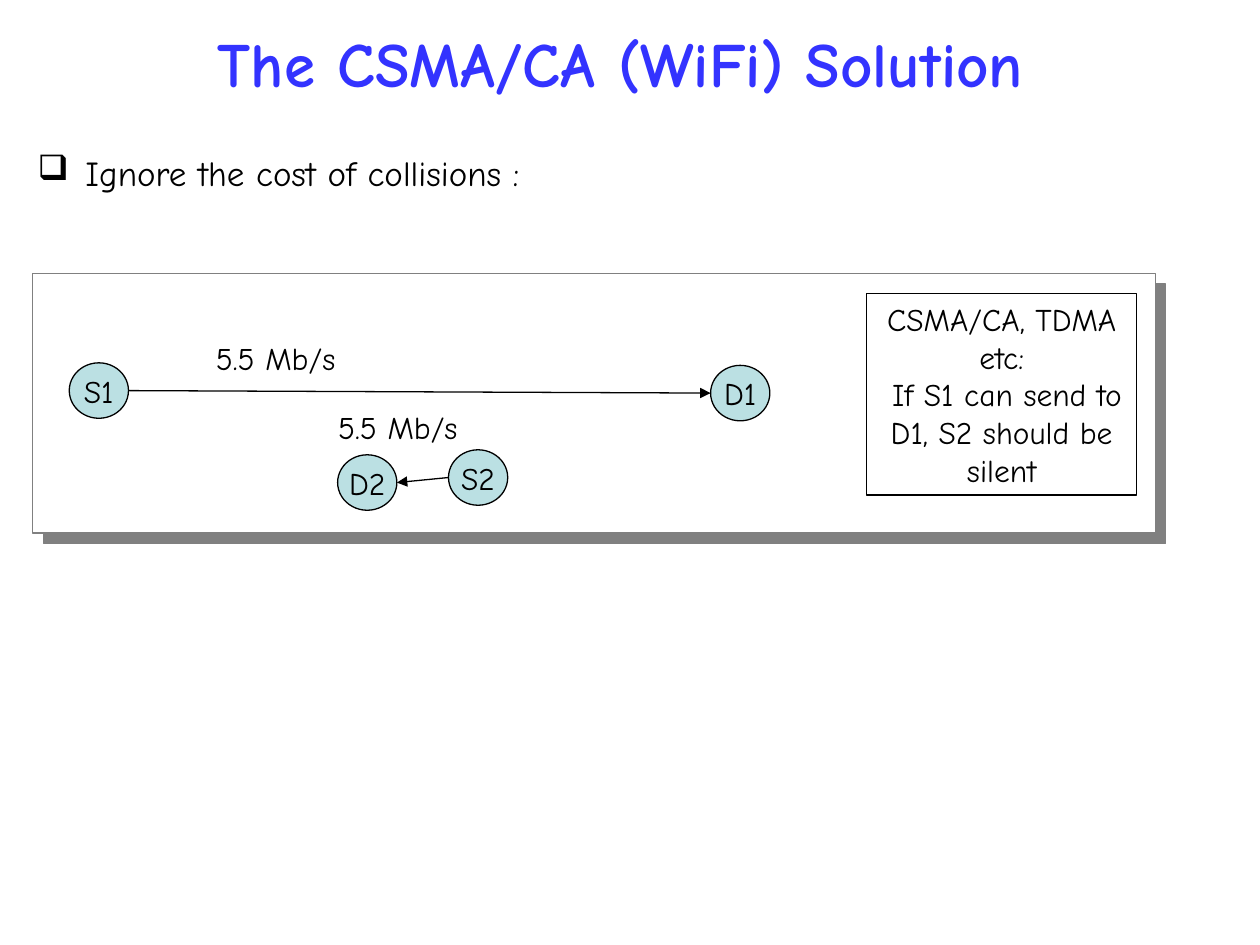
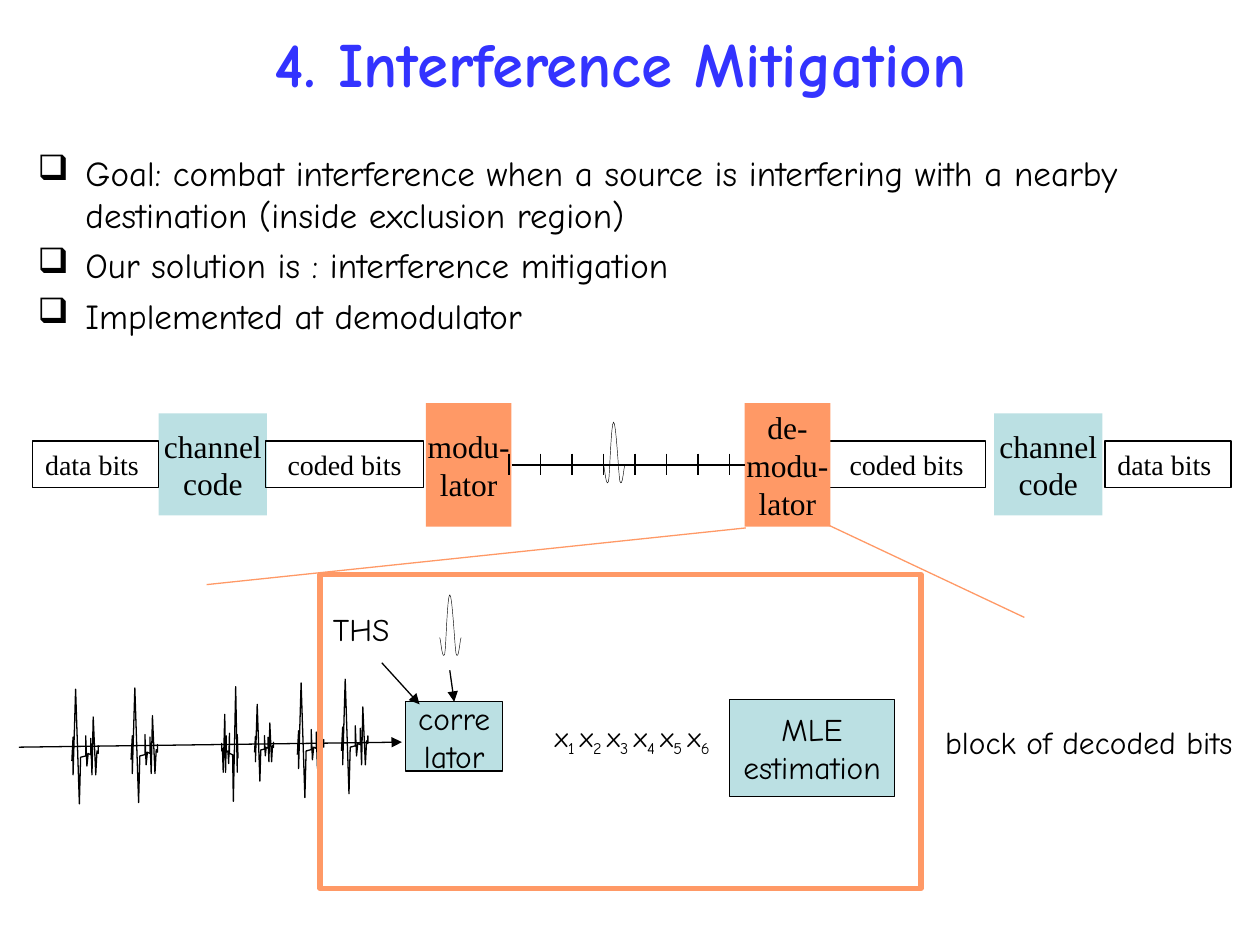
from lxml import etree
from pptx import Presentation
from pptx.dml.color import RGBColor
from pptx.enum.shapes import MSO_CONNECTOR, MSO_SHAPE
from pptx.enum.text import MSO_ANCHOR, PP_ALIGN
from pptx.oxml.ns import qn
from pptx.util import Inches, Pt

RECT, OVAL, STRAIGHT = MSO_SHAPE.RECTANGLE, MSO_SHAPE.OVAL, MSO_CONNECTOR.STRAIGHT
LEFT, CENTER, RIGHT = PP_ALIGN.LEFT, PP_ALIGN.CENTER, PP_ALIGN.RIGHT
TOP, MIDDLE = MSO_ANCHOR.TOP, MSO_ANCHOR.MIDDLE
SITE_TOP, SITE_LEFT, SITE_RIGHT = 0, 1, 3

COLORS = {"title": "3333FF", "ink": "000000", "paper": "FFFFFF", "gray": "808080",
          "teal": "BBE0E3", "orange": "FF9966"}
COMIC, TIMES = "Comic Neue", "Times New Roman"
BULLET = "❑"

# Content: CSMA/CA slide
CSMA_TITLE = "The CSMA/CA (WiFi) Solution"
CSMA_POINTS = ["Ignore the cost of collisions :"]
NODE_W, NODE_H = 0.47, 0.44
NODES = {"D2": (2.68, 3.61), "S1": (0.55, 2.88), "D1": (5.64, 2.9), "S2": (3.56, 3.57)}
RATES = [("5.5 Mb/s", 1.61, 2.64), ("5.5 Mb/s", 2.58, 3.19)]
RULE = ["CSMA/CA, TDMA etc:", " If S1 can send to D1, S2 should be silent"]

# Content: interference slide
MITIGATION_TITLE = "4. Interference Mitigation"
MITIGATION_POINTS = [
    "Goal: combat interference when a source is interfering with a nearby "
    "destination (inside exclusion region)",
    "Our solution is : interference mitigation",
    "Implemented at demodulator",
]
CODERS = [1.26, 7.89]
BIT_BOXES = [("data bits", 0.26, 1, LEFT), ("coded bits", 2.11, 1.25, CENTER),
             ("coded bits", 6.57, 1.25, CENTER), ("data bits", 8.77, 1, LEFT)]
MODULATORS = [(["modu-", "lator"], 3.38), (["de-", "modu-", "lator"], 5.91)]
TICK_START, TICK_GAP, TICK_COUNT = 4.04, 0.25, 8
ZOOM_LINES = [((5.92, 4.19), (1.64, 4.64)), ((6.58, 4.17), (8.13, 4.9))]

# Transmitted pulse: Bezier start, then (control, control, end) triples
PULSE_SPOTS = [(4.79, 3.35), (3.49, 4.72)]
PULSE_START = (0, 0.34)
PULSE_CURVES = [((0.01, 0.36), (0.02, 0.53), (0.04, 0.47)),
                ((0.05, 0.42), (0.06, 0), (0.08, 0)),
                ((0.1, 0), (0.12, 0.42), (0.13, 0.47)),
                ((0.15, 0.53), (0.16, 0.36), (0.17, 0.34))]

# Received burst, drawn in a 0.21 x 0.91 box; a negative width mirrors it
BURST_W, BURST_H = 0.21, 0.91
BURST = [(0, 0.57), (0.01, 0.38), (0.01, 0.68), (0.03, 0), (0.06, 0.91), (0.07, 0.54),
         (0.11, 0.53), (0.11, 0.37), (0.12, 0.61), (0.13, 0.51), (0.15, 0.52),
         (0.15, 0.39), (0.16, 0.68), (0.17, 0.22), (0.19, 0.68), (0.2, 0.49),
         (0.21, 0.51), (0.21, 0.45), (0.21, 0.48)]
BURST_SPOTS = [(2.71, 5.39, 0.21, 0.91), (2.36, 5.42, 0.21, 0.91),
               (2.02, 5.59, 0.15, 0.61), (1.89, 5.45, -0.13, 0.91),
               (1.04, 5.46, 0.21, 0.91), (0.57, 5.47, 0.21, 0.91)]


def rgb(name):
    return RGBColor.from_string(COLORS[name])


def add_xml(parent, tag, **attributes):
    child = etree.SubElement(parent, qn(tag))
    for key, value in attributes.items():
        child.set(key, value)
    return child


def add_run(paragraph, text, size, font, color="ink", bold=False):
    run = paragraph.add_run()
    run.text = text
    run.font.size, run.font.name, run.font.bold = Pt(size), font, bold
    run.font.color.rgb = rgb(color)
    return run


def write(shape, lines, size=18, font=COMIC, align=CENTER, anchor=MIDDLE, wrap=False,
          color="ink", bold=False):
    frame = shape.text_frame
    frame.word_wrap, frame.vertical_anchor = wrap, anchor
    for i, line in enumerate(lines):
        paragraph = frame.add_paragraph() if i else frame.paragraphs[0]
        paragraph.alignment = align
        add_run(paragraph, line, size, font, color, bold)


def add_text(slide, box, lines, **style):
    shape = slide.shapes.add_textbox(*map(Inches, box))
    write(shape, lines, **style)
    return shape


def paint(shape, fill=None, line="ink", width=0.75):
    shape.shadow.inherit = False
    if fill:
        shape.fill.solid()
        shape.fill.fore_color.rgb = rgb(fill)
    else:
        shape.fill.background()
    if line:
        shape.line.color.rgb = rgb(line)
        shape.line.width = Pt(width)
    else:
        shape.line.fill.background()


def add_box(slide, box, kind=RECT, fill=None, line="ink", width=0.75):
    shape = slide.shapes.add_shape(kind, *map(Inches, box))
    paint(shape, fill, line, width)
    return shape


def add_line(slide, start, end, color="ink", arrow=False):
    line = slide.shapes.add_connector(STRAIGHT, *map(Inches, (*start, *end)))
    line.line.color.rgb = rgb(color)
    line.line.width = Pt(0.75)
    if arrow:
        add_xml(line.line._get_or_add_ln(), "a:tailEnd", type="triangle")
    add_xml(line._element.spPr, "a:effectLst")
    return line


def add_outline(slide, points, width):
    points = [(Inches(x), Inches(y)) for x, y in points]
    builder = slide.shapes.build_freeform(*points[0])
    builder.add_line_segments(points[1:], close=False)
    paint(builder.convert_to_shape(), width=width)


def add_pulse(slide, left, top, steps=8):
    points, start = [PULSE_START], PULSE_START
    for c1, c2, end in PULSE_CURVES:
        for t in (step / steps for step in range(1, steps + 1)):
            u = 1 - t
            points.append(tuple(u**3 * a + 3 * u * u * t * b + 3 * u * t * t * c + t**3 * d
                                for a, b, c, d in zip(start, c1, c2, end)))
        start = end
    add_outline(slide, [(left + x, top + y) for x, y in points], 0.25)


def add_page(deck, title, points, body_height):
    slide = deck.slides.add_slide(deck.slide_layouts[6])
    add_text(slide, (0.12, 0, 9.61, 0.99), [title], size=36, wrap=True,
             color="title", bold=True)
    body = add_text(slide, (0.2, 1.15, 9.69, body_height), points, size=20,
                    align=LEFT, anchor=TOP, wrap=True)
    for i, paragraph in enumerate(body.text_frame.paragraphs):
        properties = paragraph._p.get_or_add_pPr()
        properties.set("marL", str(Inches(0.38)))
        properties.set("indent", str(-Inches(0.38)))
        add_xml(add_xml(properties, "a:buClr"), "a:srgbClr", val=COLORS["ink"])
        add_xml(properties, "a:buChar", char=BULLET)
        if i:
            paragraph.space_before = Pt(5)
    return slide


def build_csma(deck):
    slide = add_page(deck, CSMA_TITLE, CSMA_POINTS, 0.6)

    # Panel with a hard shadow
    panel = add_box(slide, (0.26, 2.17, 8.91, 2.06), fill="paper", line="gray")
    effects = panel._element.spPr.find(qn("a:effectLst"))
    shadow = add_xml(effects, "a:outerShdw", blurRad="0", dist=str(Pt(8.5)),
                     dir=str(45 * 60000), algn="ctr", rotWithShape="0")
    add_xml(shadow, "a:srgbClr", val=COLORS["gray"])

    # Stations and their links
    for label, spot in NODES.items():
        write(add_box(slide, (*spot, NODE_W, NODE_H), OVAL, "teal"), [label])

    def side(label, offset):
        left, top = NODES[label]
        return left + offset, top + NODE_H / 2

    add_line(slide, side("S1", NODE_W), side("D1", 0), arrow=True)
    add_line(slide, side("S2", 0), side("D2", NODE_W), arrow=True)

    # Rule and rates
    write(add_box(slide, (6.88, 2.33, 2.14, 1.6)), RULE, anchor=TOP, wrap=True)
    for rate, left, top in RATES:
        add_text(slide, (left, top, 1.15, 0.4), [rate], align=RIGHT, anchor=TOP)


def build_mitigation(deck):
    slide = add_page(deck, MITIGATION_TITLE, MITIGATION_POINTS, 2.12)

    # Transmission chain
    for left in CODERS:
        coder = add_box(slide, (left, 3.28, 0.86, 0.81), fill="teal", line=None)
        write(coder, ["channel", "code"], font=TIMES)
    for label, left, width, align in BIT_BOXES:
        write(add_box(slide, (left, 3.5, width, 0.37)), [label], size=16, font=TIMES,
              align=align, anchor=TOP, wrap=True)
    ends = []
    for lines, left in MODULATORS:
        ends.append(add_box(slide, (left, 3.2, 0.68, 0.98), fill="orange", line=None))
        write(ends[-1], lines, font=TIMES)
    modulator, demodulator = ends

    # Channel with time slots
    channel = add_line(slide, (4.06, 3.69), (5.91, 3.69))
    channel.begin_connect(modulator, SITE_RIGHT)
    channel.end_connect(demodulator, SITE_LEFT)
    for i in range(TICK_COUNT):
        x = TICK_START + i * TICK_GAP
        add_line(slide, (x, 3.6), (x, 3.77))
    for spot in PULSE_SPOTS:
        add_pulse(slide, *spot)

    # Inside the demodulator
    correlator = add_box(slide, (3.22, 5.57, 0.77, 0.55), fill="teal")
    write(correlator, ["corre", "lator"])
    for left, top, width, height in BURST_SPOTS:
        add_outline(slide, [(left + x * width / BURST_W, top + y * height / BURST_H)
                            for x, y in BURST], 0.75)
    add_text(slide, (2.54, 4.79, 0.65, 0.4), ["THS"], align=RIGHT, anchor=TOP)
    add_line(slide, (3.03, 5.26), (3.33, 5.59), arrow=True)
    template = add_line(slide, (3.57, 5.32), (3.6, 5.57), arrow=True)
    template.end_connect(correlator, SITE_TOP)
    write(add_box(slide, (5.79, 5.55, 1.31, 0.77), fill="teal"), ["MLE", "estimation"])
    add_text(slide, (7.4, 5.69, 2.48, 0.4), ["block of decoded bits"], align=RIGHT,
             anchor=TOP)
    add_line(slide, (0.15, 5.93), (3.19, 5.89), arrow=True)

    # Samples x1 to x6
    samples = add_text(slide, (3.85, 5.66, 1.88, 0.41), [], anchor=TOP, wrap=True)
    paragraph = samples.text_frame.paragraphs[0]
    paragraph.alignment = RIGHT
    for i in range(1, 7):
        add_run(paragraph, "x", 16, COMIC)
        index = add_run(paragraph, f"{i} " if i < 6 else f"{i}", 16, COMIC)
        index._r.get_or_add_rPr().set("baseline", "-25000")

    # Zoom frame
    add_box(slide, (2.54, 4.56, 4.77, 2.49), line="orange", width=3)
    for start, end in ZOOM_LINES:
        add_line(slide, start, end, "orange")


def main():
    deck = Presentation()
    deck.slide_width, deck.slide_height = Inches(10), Inches(7.5)
    build_csma(deck)
    build_mitigation(deck)
    deck.save("out.pptx")


if __name__ == "__main__":
    main()
